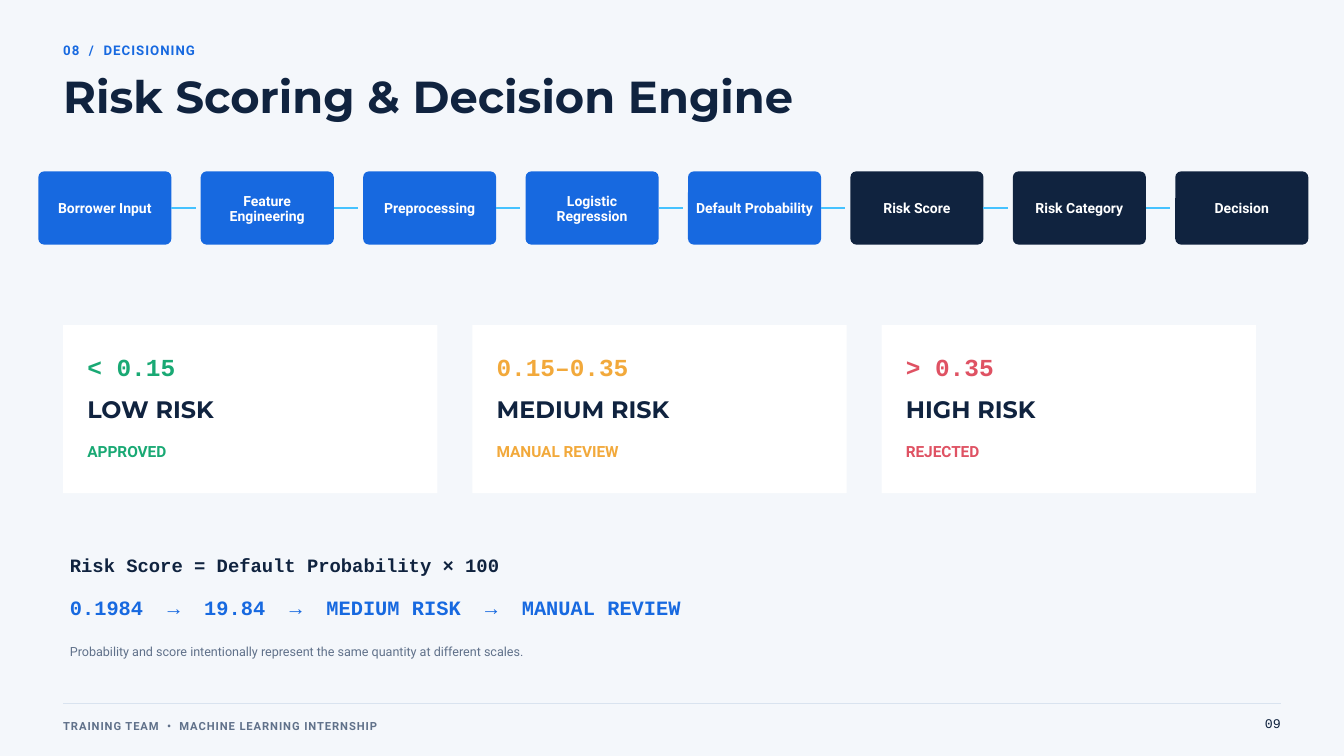
from dataclasses import dataclass

from pptx import Presentation
from pptx.dml.color import RGBColor
from pptx.enum.shapes import MSO_CONNECTOR, MSO_SHAPE
from pptx.enum.text import MSO_ANCHOR, MSO_AUTO_SIZE, PP_ALIGN
from pptx.oxml.ns import qn
from pptx.shapes.autoshape import Shape
from pptx.shapes.connector import Connector
from pptx.slide import Slide
from pptx.text.text import TextFrame
from pptx.util import Inches, Pt

STRAIGHT = MSO_CONNECTOR.STRAIGHT
RECTANGLE, ROUNDED = MSO_SHAPE.RECTANGLE, MSO_SHAPE.ROUNDED_RECTANGLE
TOP, MIDDLE = MSO_ANCHOR.TOP, MSO_ANCHOR.MIDDLE
LEFT, CENTER, RIGHT = PP_ALIGN.LEFT, PP_ALIGN.CENTER, PP_ALIGN.RIGHT
FIT_TEXT = MSO_AUTO_SIZE.SHAPE_TO_FIT_TEXT
RIGHT_SIDE = 3

NAVY, BLUE, SKY, SLATE = "10233F", "1769E0", "45C2FF", "60718A"
WHITE, PAPER, RULE = "FFFFFF", "F4F7FB", "D9E3EF"
GREEN, AMBER, RED = "19A974", "F2A93B", "DF5263"
HEADING, BODY, MONO = "Montserrat", "Roboto", "Courier New"

MARGIN = 0.94
STEP_LEFT, STEP_TOP, STEP_WIDTH, STEP_HEIGHT = 0.57, 2.55, 1.98, 1.09
STEP_PITCH, LINK_LENGTH = 2.417, 0.36
CARD_TOP, CARD_WIDTH, CARD_HEIGHT, CARD_PITCH = 4.84, 5.57, 2.5, 6.09


@dataclass
class Style:
    font: str
    size: float
    color: str
    line_height: float
    bold: bool = True
    tracking: float = 0
    align: PP_ALIGN = LEFT


@dataclass
class Label:
    text: str
    left: float
    top: float
    width: float
    height: float
    style: Style


@dataclass
class Step:
    name: str
    color: str


@dataclass
class RiskBand:
    limits: str
    level: str
    decision: str
    color: str


STEPS = [
    Step("Borrower Input", BLUE),
    Step("Feature Engineering", BLUE),
    Step("Preprocessing", BLUE),
    Step("Logistic Regression", BLUE),
    Step("Default Probability", BLUE),
    Step("Risk Score", NAVY),
    Step("Risk Category", NAVY),
    Step("Decision", NAVY),
]
BANDS = [
    RiskBand("< 0.15", "LOW RISK", "APPROVED", GREEN),
    RiskBand("0.15–0.35", "MEDIUM RISK", "MANUAL REVIEW", AMBER),
    RiskBand("> 0.35", "HIGH RISK", "REJECTED", RED),
]
TITLE = Label("Risk Scoring & Decision Engine", MARGIN, 1.11, 15.62, 0.73,
              Style(HEADING, 48, NAVY, 51.8))
LABELS = [
    Label("08  /  DECISIONING", MARGIN, 0.59, 7.29, 0.26,
          Style(BODY, 14.2, BLUE, 19.9, tracking=1.1)),
    Label("Risk Score = Default Probability × 100", 1.04, 8.18, 8.33, 0.38,
          Style(MONO, 20.2, NAVY, 28.4)),
    Label("0.1984  →  19.84  →  MEDIUM RISK  →  MANUAL REVIEW", 1.04, 8.8, 15.62, 0.41,
          Style(MONO, 21.8, BLUE, 30.4)),
    Label("Probability and score intentionally represent the same quantity at different scales.",
          1.04, 9.56, 13.54, 0.24, Style(BODY, 13.5, SLATE, 17.6, bold=False)),
    Label("TRAINING TEAM  •  MACHINE LEARNING INTERNSHIP", MARGIN, 10.67, 9.38, 0.22,
          Style(BODY, 12, SLATE, 16.8, tracking=1)),
    Label("09", 18.12, 10.61, 0.94, 0.26,
          Style(MONO, 14.2, NAVY, 19.9, bold=False, align=RIGHT)),
]
STEP_STYLE = Style(BODY, 15, WHITE, 16.5, align=CENTER)


def rgb(color: str) -> RGBColor:
    return RGBColor.from_string(color)


def set_insets(frame: TextFrame, side: float, top: float, bottom: float) -> None:
    frame.margin_left = frame.margin_right = Inches(side)
    frame.margin_top, frame.margin_bottom = Inches(top), Inches(bottom)


def write(frame: TextFrame, text: str, style: Style) -> None:
    frame.word_wrap = True
    para = frame.paragraphs[0]
    para.alignment = style.align
    para.line_spacing = Pt(style.line_height)
    span = para.add_run()
    span.text = text
    span.font.name = style.font
    span.font.size = Pt(style.size)
    span.font.bold = style.bold
    span.font.color.rgb = rgb(style.color)
    if style.tracking:
        span.font._element.set("spc", str(round(style.tracking * 100)))


def fill_label(box: Shape, label: Label) -> None:
    frame = box.text_frame
    set_insets(frame, 0, 0, 0)
    frame.vertical_anchor = TOP
    frame.auto_size = FIT_TEXT
    write(frame, label.text, label.style)


def add_label(page: Slide, label: Label) -> None:
    box = page.shapes.add_textbox(Inches(label.left), Inches(label.top),
                                  Inches(label.width), Inches(label.height))
    fill_label(box, label)


def set_title(page: Slide, label: Label) -> None:
    box = page.shapes.title
    box.left, box.top = Inches(label.left), Inches(label.top)
    box.width, box.height = Inches(label.width), Inches(label.height)
    fill_label(box, label)


def add_panel(page: Slide, preset: MSO_SHAPE, left: float, top: float,
              width: float, height: float, color: str) -> Shape:
    panel = page.shapes.add_shape(preset, Inches(left), Inches(top),
                                  Inches(width), Inches(height))
    panel.shadow.inherit = False
    panel.fill.solid()
    panel.fill.fore_color.rgb = rgb(color)
    panel.line.fill.background()
    return panel


def add_line(page: Slide, start: float, end: float, y: float,
             color: str, weight: float) -> Connector:
    line = page.shapes.add_connector(STRAIGHT, Inches(start), Inches(y),
                                     Inches(end), Inches(y))
    line.line.color.rgb = rgb(color)
    line.line.width = Pt(weight)
    properties = line._element.spPr
    properties.append(properties.makeelement(qn("a:effectLst"), {}))
    return line


def add_pipeline(page: Slide) -> None:
    for index, step in enumerate(STEPS):
        left = STEP_LEFT + index * STEP_PITCH
        box = add_panel(page, ROUNDED, left, STEP_TOP, STEP_WIDTH, STEP_HEIGHT, step.color)
        box.adjustments[0] = 0.08
        set_insets(box.text_frame, 0.04, 0.08, 0.05)
        box.text_frame.vertical_anchor = MIDDLE
        write(box.text_frame, step.name, STEP_STYLE)
        if index < len(STEPS) - 1:
            edge = left + STEP_WIDTH
            link = add_line(page, edge, edge + LINK_LENGTH,
                            STEP_TOP + STEP_HEIGHT / 2, SKY, 1.5)
            link.begin_connect(box, RIGHT_SIDE)


def add_risk_cards(page: Slide) -> None:
    for index, band in enumerate(BANDS):
        left = MARGIN + index * CARD_PITCH
        add_panel(page, RECTANGLE, left, CARD_TOP, CARD_WIDTH, CARD_HEIGHT, WHITE)
        for text, top, height, style in (
            (band.limits, 5.17, 0.48, Style(MONO, 26.2, band.color, 36.8)),
            (band.level, 5.89, 0.42, Style(HEADING, 25.5, NAVY, 29.3)),
            (band.decision, 6.53, 0.3, Style(BODY, 16.5, band.color, 23.1)),
        ):
            add_label(page, Label(text, left + 0.36, top, 5, height, style))


def main() -> None:
    deck = Presentation()
    deck.slide_width, deck.slide_height = Inches(20), Inches(11.25)
    page = deck.slides.add_slide(deck.slide_layouts[5])
    page.background.fill.solid()
    page.background.fill.fore_color.rgb = rgb(PAPER)
    set_title(page, TITLE)
    add_pipeline(page)
    add_risk_cards(page)
    add_line(page, MARGIN, 20 - MARGIN, 10.46, RULE, 0.75)
    for label in LABELS:
        add_label(page, label)
    deck.save("out.pptx")


if __name__ == "__main__":
    main()
